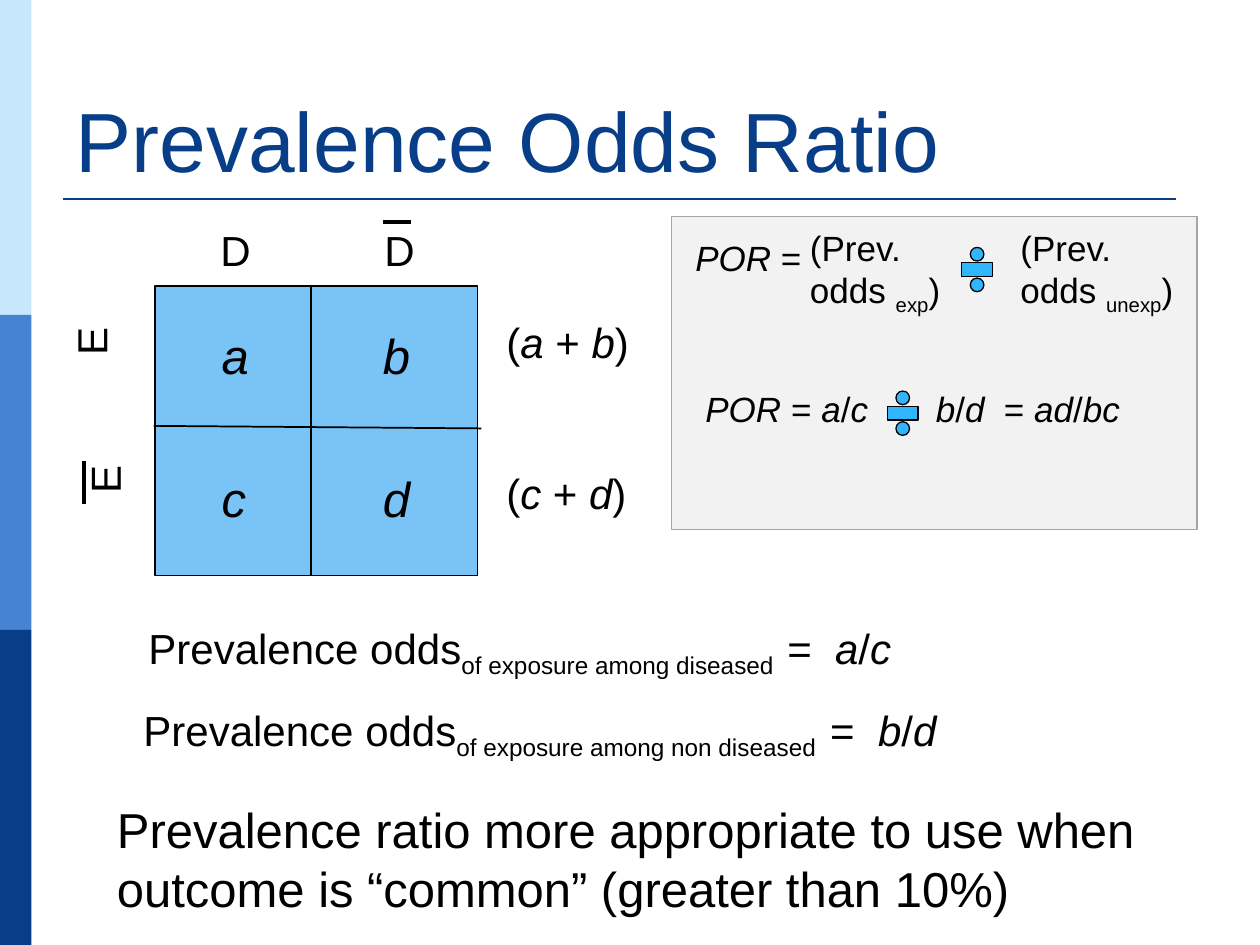
"""Build the prevalence odds ratio slide."""
from dataclasses import dataclass
from typing import Any

import lxml.etree
import pptx
import pptx.dml.color
import pptx.enum.shapes
import pptx.enum.text
import pptx.oxml.ns
import pptx.util

SCALE = 9144
FONT = "Arial"
BLACK = "000000"
NAVY = "073E87"
KIND = pptx.enum.shapes.MSO_SHAPE
ALIGN = pptx.enum.text.PP_ALIGN
ANCHOR = pptx.enum.text.MSO_ANCHOR


@dataclass(frozen=True)
class Box:
    left: int
    top: int
    width: int
    height: int


@dataclass(frozen=True)
class Label:
    text: str
    box: Box
    size: int = 24
    turn: int = 0
    align: Any = ALIGN.LEFT


@dataclass(frozen=True)
class Odds:
    text: str
    box: Box
    tabs: tuple[int, ...]


@dataclass(frozen=True)
class Rule:
    start: tuple[int, int]
    end: tuple[int, int]
    width: float
    color: str = BLACK


BANDS = ("C6E7FC", "4584D3", NAVY)
RULES = (
    Rule((50, 158), (933, 158), 1.5, NAVY),
    Rule((247, 227), (247, 457), 1),
    Rule((122, 338), (382, 340), 1),
    Rule((304, 176), (326, 176), 2.25),
    Rule((67, 366), (67, 400), 2.25),
)
CELLS = [
    Label(f"*{name}*", Box(166 + 128 * (i % 2), 253 + 114 * (i // 2), 41, 57), 28)
    for i, name in enumerate("abcd")
]
LABELS = CELLS + [
    Label("(*a* + *b*)", Box(392, 246, 125, 50)),
    Label("(*c* + *d*)", Box(392, 366, 117, 50)),
    Label("E", Box(44, 239, 56, 50), turn=270),
    Label("E", Box(58, 352, 49, 50), turn=270),
    Label("D", Box(165, 173, 51, 50)),
    Label("D", Box(289, 173, 56, 50), align=ALIGN.CENTER),
]
ODDS = (
    Odds("Prevalence odds_of exposure among non diseased_\t=\t*b*/*d*",
         Box(104, 554, 701, 50), (545, 583)),
    Odds("Prevalence odds_of exposure among diseased_\t=\t*a*/*c*",
         Box(108, 489, 780, 50), (507, 545)),
)
TERMS = (
    Odds("*POR* =", Box(542, 183, 144, 44), ()),
    Odds("(Prev. odds _unexp_)", Box(800, 175, 150, 77), ()),
    Odds("(Prev. odds _exp_)", Box(633, 175, 142, 77), ()),
    Odds("*POR* = *a*/*c*\t*b*/*d*\t= *ad*/*bc*", Box(550, 303, 400, 44), (183, 237)),
)
SIGNS = (Box(759, 191, 33, 46), Box(700, 305, 33, 46))


def emu(px: int) -> int:
    """Turn px into EMU."""
    return px * SCALE


def rgb(code: str) -> pptx.dml.color.RGBColor:
    """Turn a hex string into a colour."""
    return pptx.dml.color.RGBColor.from_string(code)


def place(box: Box) -> tuple[int, ...]:
    """Give the position and size of a box in EMU."""
    return tuple(map(emu, (box.left, box.top, box.width, box.height)))


def write(frame: Any, text: str, *, size: int, color: str = BLACK,
          align: Any = ALIGN.LEFT, anchor: Any = ANCHOR.TOP,
          before: float = 0, tabs: tuple[int, ...] = ()) -> None:
    """Write text where *stars* mean italic and _bars_ mean subscript."""
    frame.word_wrap = True
    frame.auto_size = pptx.enum.text.MSO_AUTO_SIZE.NONE
    frame.vertical_anchor = anchor
    para = frame.paragraphs[0]
    para.alignment = align
    para.space_before = pptx.util.Pt(before)
    if tabs:
        stops = lxml.etree.SubElement(
            para._p.get_or_add_pPr(), pptx.oxml.ns.qn("a:tabLst"))
        for stop in tabs:
            lxml.etree.SubElement(stops, pptx.oxml.ns.qn("a:tab"),
                                  pos=str(emu(stop)), algn="l")
    for i, part in enumerate(text.split("*")):
        for j, piece in enumerate(part.split("_")):
            if not piece:
                continue
            run = para.add_run()
            run.text = piece
            font = run.font
            font.name = FONT
            font.size = pptx.util.Pt(size)
            font.color.rgb = rgb(color)
            font.italic = i % 2 == 1
            if j % 2:
                font._element.set("baseline", "-25000")


def put(shapes: Any, text: str, box: Box, *, turn: int = 0, **form: Any) -> None:
    """Add a text box."""
    item = shapes.add_textbox(*place(box))
    item.rotation = turn
    write(item.text_frame, text, **form)


def draw(shapes: Any, box: Box, fill: str, line: str = "", kind: Any = KIND.RECTANGLE) -> None:
    """Add a filled shape with an optional thin outline."""
    item = shapes.add_shape(kind, *place(box))
    item.shadow.inherit = False
    item.fill.solid()
    item.fill.fore_color.rgb = rgb(fill)
    if line:
        item.line.color.rgb = rgb(line)
        item.line.width = pptx.util.Pt(0.75)
    else:
        item.line.fill.background()


def link(shapes: Any, rule: Rule) -> None:
    """Add a straight line."""
    item = shapes.add_connector(pptx.enum.shapes.MSO_CONNECTOR.STRAIGHT,
                                *map(emu, rule.start + rule.end))
    item.line.color.rgb = rgb(rule.color)
    item.line.width = pptx.util.Pt(rule.width)
    lxml.etree.SubElement(item._element.spPr, pptx.oxml.ns.qn("a:effectLst"))


def main() -> None:
    """Build and save the slide."""
    deck = pptx.Presentation()
    deck.slide_width, deck.slide_height = emu(1000), emu(750)
    slide = deck.slides.add_slide(deck.slide_layouts[5])
    shapes = slide.shapes

    title = shapes.title
    title.left, title.top, title.width, title.height = place(Box(50, 30, 900, 125))
    write(title.text_frame, "Prevalence Odds Ratio", size=48, color=NAVY,
          anchor=ANCHOR.BOTTOM)

    for i, color in enumerate(BANDS):
        draw(shapes, Box(0, 250 * i, 25, 250), color)
    put(shapes, "Prevalence ratio more appropriate to use when outcome is "
        "“common” (greater than 10%)", Box(83, 630, 859, 290), size=28, before=5.6)
    for odds in ODDS:
        put(shapes, odds.text, odds.box, size=24, tabs=odds.tabs)

    draw(shapes, Box(123, 227, 256, 230), "7AC3F6", BLACK)
    for rule in RULES:
        link(shapes, rule)
    for label in LABELS:
        put(shapes, label.text, label.box, size=label.size, turn=label.turn,
            align=label.align, anchor=ANCHOR.MIDDLE)

    panel = shapes.add_group_shape().shapes
    draw(panel, Box(533, 172, 417, 248), "F2F2F2", "A6A6A6")
    for term in TERMS:
        put(panel, term.text, term.box, size=20, tabs=term.tabs)
    for sign in SIGNS:
        draw(panel, sign, "31B6FD", BLACK, KIND.MATH_DIVIDE)

    deck.save("out.pptx")


if __name__ == "__main__":
    main()
